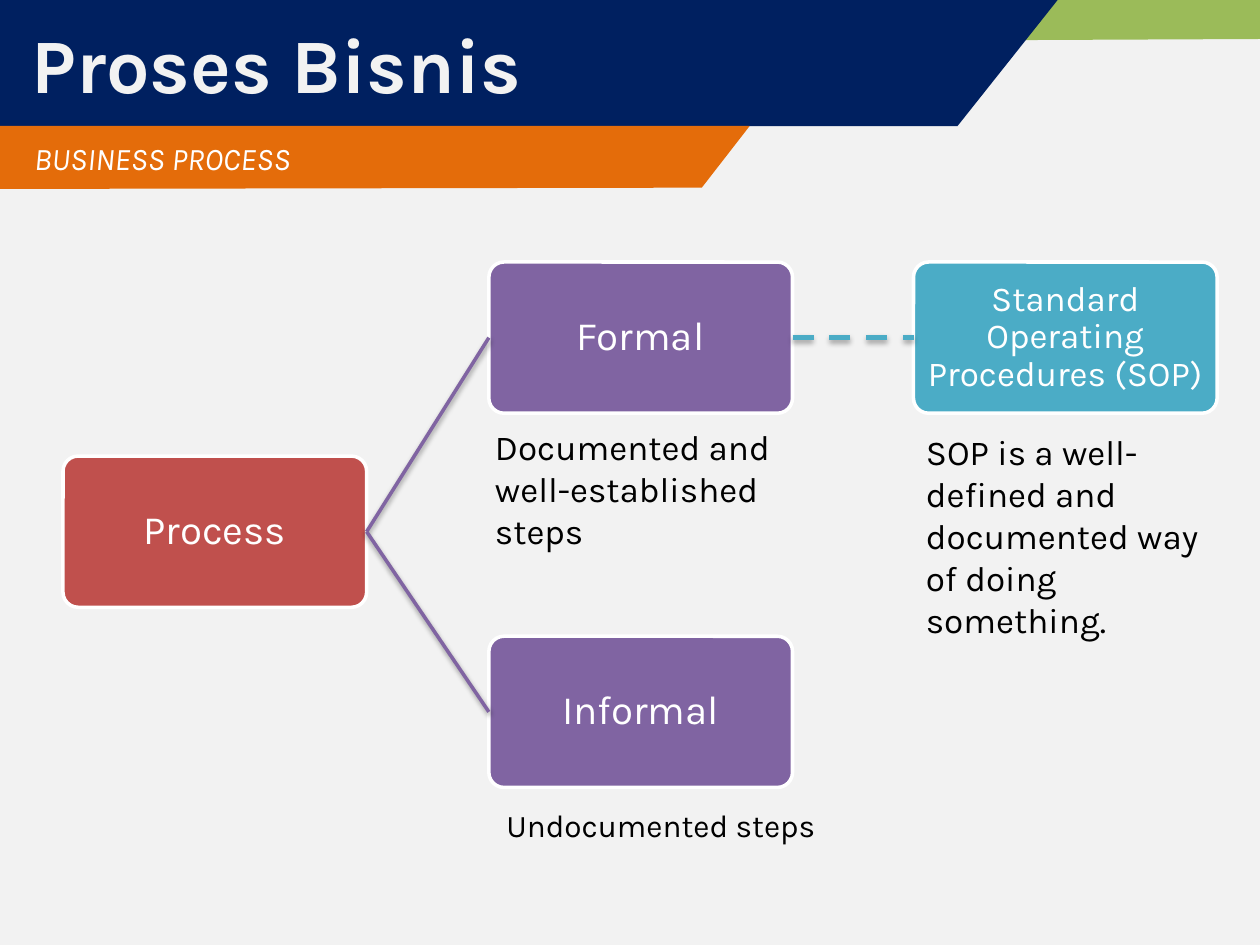
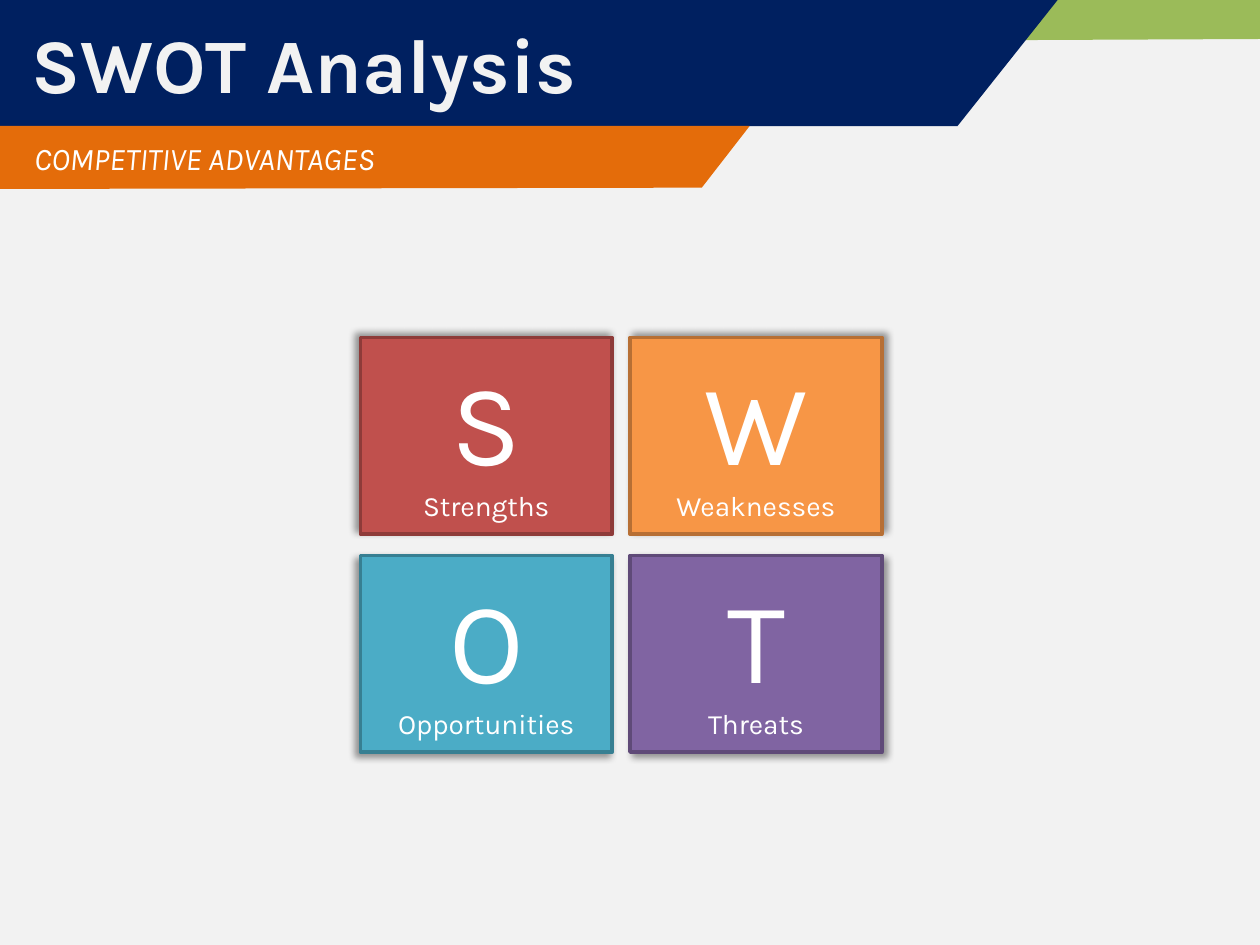
from dataclasses import dataclass
from typing import Any, Optional

import lxml.etree
import pptx
import pptx.dml.color
import pptx.enum.dml
import pptx.enum.shapes
import pptx.enum.text
import pptx.oxml.ns
import pptx.util

Inches = pptx.util.Inches
Pt = pptx.util.Pt
Align = pptx.enum.text.PP_ALIGN
Anchor = pptx.enum.text.MSO_ANCHOR
Preset = pptx.enum.shapes.MSO_SHAPE


@dataclass(frozen=True)
class Theme:
    font: str = "Karla"
    page: str = "F2F2F2"
    white: str = "FFFFFF"
    black: str = "000000"
    navy: str = "002060"
    orange: str = "E46C0A"
    green: str = "9BBB59"
    red: str = "C0504D"
    amber: str = "F79646"
    teal: str = "4BACC6"
    purple: str = "8064A2"
    red_edge: str = "8E3B39"
    amber_edge: str = "B76F34"
    teal_edge: str = "377F92"
    purple_edge: str = "5F4A78"
    title: int = 44
    letter: int = 66
    step: int = 23
    note: int = 20
    small: int = 18
    label: int = 16


THEME = Theme()


@dataclass(frozen=True)
class Band:
    color: str
    points: tuple[tuple[float, float], ...]


@dataclass(frozen=True)
class Step:
    name: str
    left: float
    top: float
    color: str
    size: int = THEME.step


@dataclass(frozen=True)
class Note:
    lines: tuple[str, ...]
    left: float
    top: float
    width: float
    height: float
    size: int = THEME.note


@dataclass(frozen=True)
class Shade:
    alpha: int
    blur: float
    dist: float
    angle: int


@dataclass(frozen=True)
class Link:
    start: str
    end: str
    color: str
    width: int
    shade: Shade
    dashed: bool = False


@dataclass(frozen=True)
class Tile:
    name: str
    fill: str
    edge: str
    angle: int


GREEN = Band(THEME.green, ((5.69, 0), (10, 0), (10, 0.31), (5.58, 0.33)))
NAVY = Band(THEME.navy, ((0, 0), (8.41, -0.02), (7.6, 1), (0, 1)))
ORANGE = Band(THEME.orange, ((0, 1), (5.95, 1), (5.57, 1.49), (0, 1.5)))

STEP_SIZE = (2.41, 1.2)
STEPS = (
    Step("Process", 0.5, 3.62, THEME.red),
    Step("Formal", 3.88, 2.08, THEME.purple),
    Step("Informal", 3.88, 5.05, THEME.purple),
    Step("Standard Operating Procedures (SOP)", 7.25, 2.08, THEME.teal, THEME.note),
)
SOLID = Shade(38, 3.1, 1.6, 90)
LINKS = (
    Link("Formal", STEPS[3].name, THEME.teal, 3, Shade(35, 3.1, 1.8, 90), True),
    Link("Process", "Formal", THEME.purple, 2, SOLID),
    Link("Process", "Informal", THEME.purple, 2, SOLID),
)
NOTES = (
    Note(("Documented and", "well-established steps"), 3.83, 3.33, 2.85, 1.11),
    Note(("Undocumented steps",), 3.92, 6.35, 3, 0.4, THEME.small),
    Note(("SOP is a well-defined and documented way of doing something.",),
         7.25, 3.37, 2.5, 2.12),
)

TILE_SIZE = (2, 1.56)
TILE_START = (2.86, 2.68)
TILE_PITCH = (2.14, 1.73)
TILES = (
    Tile("Strengths", THEME.red, THEME.red_edge, 225),
    Tile("Weaknesses", THEME.amber, THEME.amber_edge, 315),
    Tile("Opportunities", THEME.teal, THEME.teal_edge, 135),
    Tile("Threats", THEME.purple, THEME.purple_edge, 45),
)


def rgb(code: str) -> pptx.dml.color.RGBColor:
    return pptx.dml.color.RGBColor.from_string(code)


def paint(shape: Any, fill: str, edge: Optional[str] = None) -> None:
    shape.shadow.inherit = False
    shape.fill.solid()
    shape.fill.fore_color.rgb = rgb(fill)
    if edge:
        shape.line.color.rgb = rgb(edge)
        shape.line.width = Pt(2)
    else:
        shape.line.fill.background()


def cast(shape: Any, shade: Shade) -> None:
    """Give the shape an outer shadow in place of the style's own."""
    qn = pptx.oxml.ns.qn
    props = shape.element.spPr
    for old in props.findall(qn("a:effectLst")):
        props.remove(old)
    effects = lxml.etree.SubElement(props, qn("a:effectLst"))
    outer = lxml.etree.SubElement(
        effects, qn("a:outerShdw"), blurRad=str(Pt(shade.blur)),
        dist=str(Pt(shade.dist)), dir=str(shade.angle * 60000), rotWithShape="0")
    color = lxml.etree.SubElement(outer, qn("a:srgbClr"), val=THEME.black)
    lxml.etree.SubElement(color, qn("a:alpha"), val=str(shade.alpha * 1000))


def write(shape: Any, lines: tuple[str, ...], sizes: tuple[int, ...], color: str,
          align: Align = Align.LEFT, anchor: Anchor = Anchor.MIDDLE) -> Any:
    """Fill the shape with one paragraph per line and return its text frame."""
    frame = shape.text_frame
    frame.word_wrap = True
    frame.vertical_anchor = anchor
    frame.text = "\n".join(lines)
    for para, size in zip(frame.paragraphs, sizes):
        para.alignment = align
        para.font.name = THEME.font
        para.font.size = Pt(size)
        para.font.color.rgb = rgb(color)
    return frame


def inset(frame: Any, side: float, edge: float) -> None:
    frame.margin_left = frame.margin_right = Inches(side)
    frame.margin_top = frame.margin_bottom = Inches(edge)


def draw_band(slide: Any, band: Band) -> Any:
    first, *rest = [(Inches(x), Inches(y)) for x, y in band.points]
    builder = slide.shapes.build_freeform(*first)
    builder.add_line_segments(rest, close=True)
    shape = builder.convert_to_shape()
    paint(shape, band.color)
    return shape


def add_page(deck: Any, title: str, topic: str) -> Any:
    """Add a slide with the shared bands, title and topic line."""
    slide = deck.slides.add_slide(deck.slide_layouts.get_by_name("Title Only"))
    draw_band(slide, GREEN)
    draw_band(slide, NAVY)
    strip = draw_band(slide, ORANGE)
    frame = write(strip, (topic,), (THEME.small,), THEME.white)
    frame.margin_left = Inches(0.27)
    frame.paragraphs[0].font.italic = True

    head = slide.shapes.title
    head.left, head.top, head.width, head.height = map(Inches, (0, 0, 10, 1))
    frame = write(head, (title,), (THEME.title,), THEME.page)
    frame.margin_left = Inches(0.25)
    frame.paragraphs[0].font.bold = True
    slide.shapes.element.append(head.element)
    return slide


def draw_step(slide: Any, step: Step) -> Any:
    box = slide.shapes.add_shape(
        Preset.ROUNDED_RECTANGLE, *map(Inches, (step.left, step.top, *STEP_SIZE)))
    box.adjustments[0] = 0.1
    paint(box, step.color, THEME.white)
    frame = write(box, (step.name,), (step.size,), THEME.white, Align.CENTER)
    inset(frame, 0.02, 0.02)
    frame.paragraphs[0].line_spacing = 0.9
    return box


def draw_link(slide: Any, link: Link, boxes: dict[str, Any]) -> None:
    """Join the right side of one box to the left side of the next."""
    line = slide.shapes.add_connector(
        pptx.enum.shapes.MSO_CONNECTOR.STRAIGHT, 0, 0, 0, 0)
    line.begin_connect(boxes[link.start], 3)
    line.end_connect(boxes[link.end], 1)
    line.line.color.rgb = rgb(link.color)
    line.line.width = Pt(link.width)
    if link.dashed:
        line.line.dash_style = pptx.enum.dml.MSO_LINE.DASH
    cast(line, link.shade)


def draw_note(slide: Any, note: Note) -> None:
    box = slide.shapes.add_textbox(
        *map(Inches, (note.left, note.top, note.width, note.height)))
    write(box, note.lines, (note.size,) * len(note.lines), THEME.black,
          anchor=Anchor.TOP)


def draw_tile(slide: Any, tile: Tile, row: int, col: int) -> None:
    left = TILE_START[0] + col * TILE_PITCH[0]
    top = TILE_START[1] + row * TILE_PITCH[1]
    box = slide.shapes.add_shape(
        Preset.RECTANGLE, *map(Inches, (left, top, *TILE_SIZE)))
    paint(box, tile.fill, tile.edge)
    cast(box, Shade(40, 4, 3, tile.angle))
    frame = write(box, (tile.name[0], tile.name), (THEME.letter, THEME.label),
                  THEME.white, Align.CENTER)
    inset(frame, 0.07, 0.04)


def main() -> None:
    deck = pptx.Presentation()
    deck.slide_width, deck.slide_height = Inches(10), Inches(7.5)
    back = deck.slide_master.background.fill
    back.solid()
    back.fore_color.rgb = rgb(THEME.page)

    flow = add_page(deck, "Proses Bisnis", "BUSINESS PROCESS")
    boxes = {step.name: draw_step(flow, step) for step in STEPS}
    for link in LINKS:
        draw_link(flow, link, boxes)
    for note in NOTES:
        draw_note(flow, note)

    swot = add_page(deck, "SWOT Analysis", "COMPETITIVE ADVANTAGES")
    for place, tile in enumerate(TILES):
        draw_tile(swot, tile, *divmod(place, 2))

    deck.save("out.pptx")


if __name__ == "__main__":
    main()
